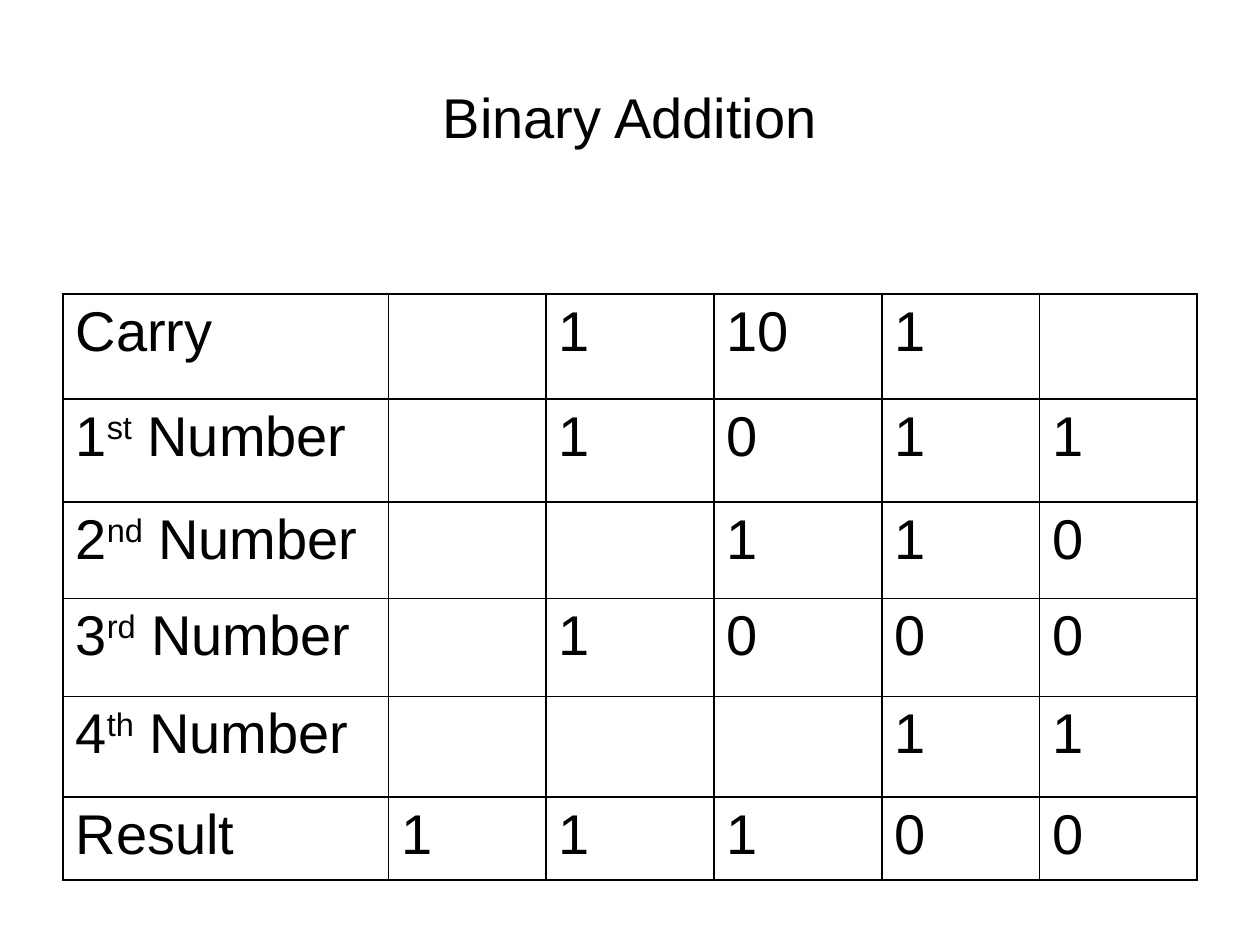
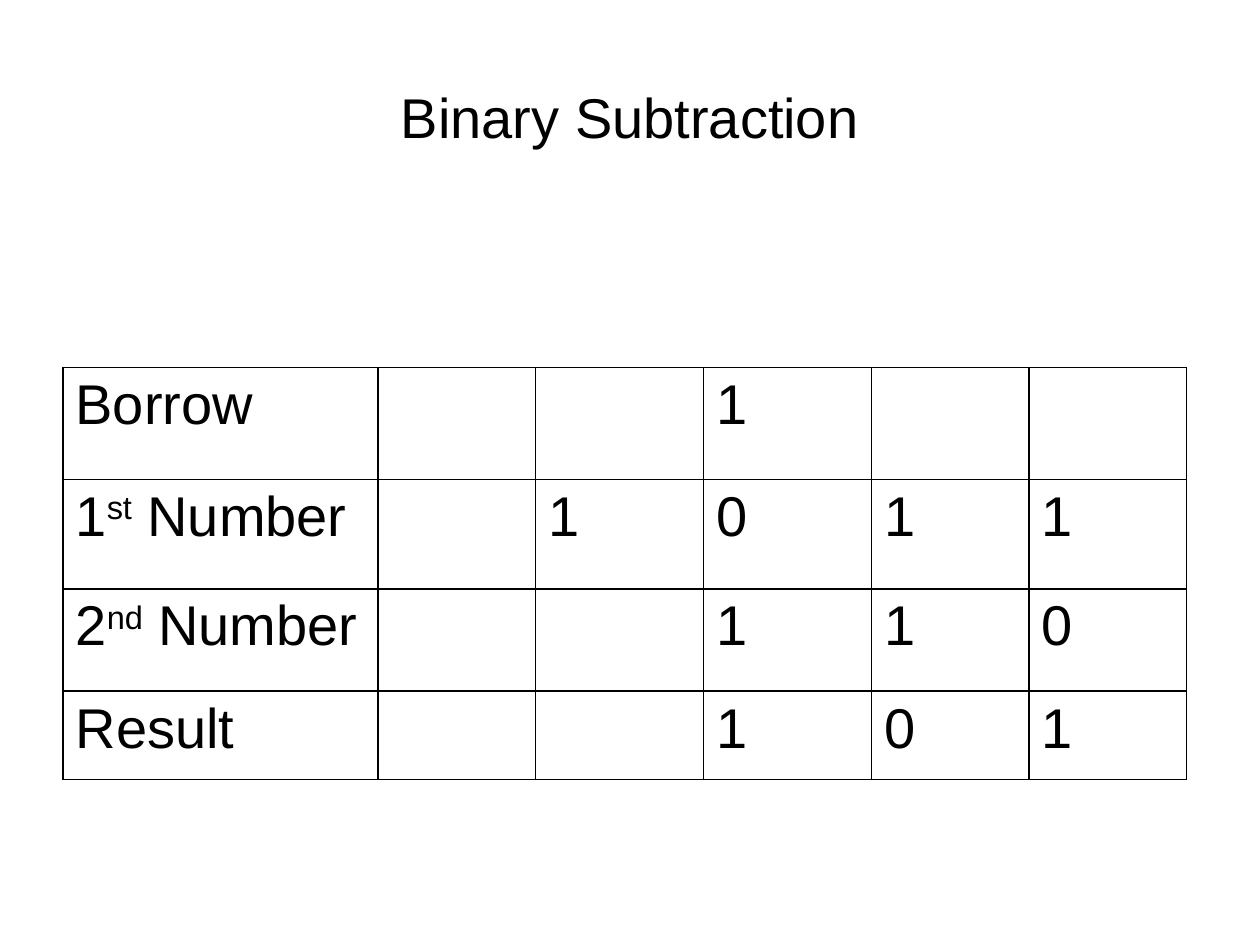
from dataclasses import dataclass

from lxml.etree import SubElement
from pptx import Presentation
from pptx.dml.color import RGBColor
from pptx.enum.text import MSO_ANCHOR as Anchor, PP_ALIGN as Align
from pptx.oxml.ns import qn
from pptx.util import Pt


@dataclass(frozen=True)
class Theme:
    font: str = "Arial"
    size: int = 32
    ink: str = "000000"
    border: int = 1
    hanging: int = 27
    superscript: str = "30000"


THEME = Theme()
SLIDE_SIZE = (720, 540)
TITLE_BOX = (36, 21.6, 648, 90)
TABLE_LEFT = 36
DIGIT_WIDTHS = [90, 96, 96, 90, 90]

SLIDES = [
    {
        "title": "Binary Addition",
        "top": 168,
        "label_width": 186,
        "rows": [
            ("Carry", ["", "1", "10", "1", ""], 60),
            ("1^st^ Number", ["", "1", "0", "1", "1"], 59),
            ("2^nd^ Number", ["", "", "1", "1", "0"], 55),
            ("3^rd^ Number", ["", "1", "0", "0", "0"], 56),
            ("4^th^ Number", ["", "", "", "1", "1"], 57.5),
            ("Result", ["1", "1", "1", "0", "0"], 47.5),
        ],
    },
    {
        "title": "Binary Subtraction",
        "top": 210,
        "label_width": 180,
        "rows": [
            ("Borrow", ["", "", "1", "", ""], 64),
            ("1^st^ Number", ["", "1", "0", "1", "1"], 62.5),
            ("2^nd^ Number", ["", "", "1", "1", "0"], 58.5),
            ("Result", ["", "", "1", "0", "1"], 50.5),
        ],
    },
]


def style_run(run):
    run.font.name = THEME.font
    run.font.size = Pt(THEME.size)
    run.font.color.rgb = RGBColor.from_string(THEME.ink)


def add_title(slide, text):
    shape = slide.shapes.add_textbox(*map(Pt, TITLE_BOX))
    text_frame = shape.text_frame
    text_frame.word_wrap = True
    text_frame.vertical_anchor = Anchor.MIDDLE
    text_frame.text = text
    paragraph = text_frame.paragraphs[0]
    paragraph.alignment = Align.CENTER
    style_run(paragraph.runs[0])


def style_cell(cell):
    properties = cell._tc.get_or_add_tcPr()
    for side in ("lnL", "lnR", "lnT", "lnB"):
        line = SubElement(properties, qn(f"a:{side}"), w=str(Pt(THEME.border)))
        fill = SubElement(line, qn("a:solidFill"))
        SubElement(fill, qn("a:srgbClr"), val=THEME.ink)
    cell.fill.background()


def write_cell(cell, text):
    paragraph = cell.text_frame.paragraphs[0]
    paragraph.alignment = Align.JUSTIFY
    properties = paragraph._p.get_or_add_pPr()
    properties.set("marL", str(Pt(THEME.hanging)))
    properties.set("indent", str(-Pt(THEME.hanging)))
    for index, part in enumerate(text.split("^")):
        run = paragraph.add_run()
        run.text = part
        style_run(run)
        if index % 2:
            run.font._element.set("baseline", THEME.superscript)


def add_number_table(slide, top, label_width, rows):
    widths = [label_width, *DIGIT_WIDTHS]
    heights = [height for _, _, height in rows]
    frame = slide.shapes.add_table(
        len(rows), len(widths),
        Pt(TABLE_LEFT), Pt(top), Pt(sum(widths)), Pt(sum(heights)),
    )
    table = frame.table
    table.first_row = False
    table.horz_banding = False
    for column, width in zip(table.columns, widths):
        column.width = Pt(width)
    for table_row, (label, digits, height) in zip(table.rows, rows):
        table_row.height = Pt(height)
        for cell, text in zip(table_row.cells, [label, *digits]):
            style_cell(cell)
            if text:
                write_cell(cell, text)


def main():
    presentation = Presentation()
    presentation.slide_width, presentation.slide_height = map(Pt, SLIDE_SIZE)
    for content in SLIDES:
        slide = presentation.slides.add_slide(presentation.slide_layouts[6])
        add_title(slide, content["title"])
        add_number_table(slide, content["top"], content["label_width"], content["rows"])
    presentation.save("out.pptx")


if __name__ == "__main__":
    main()
